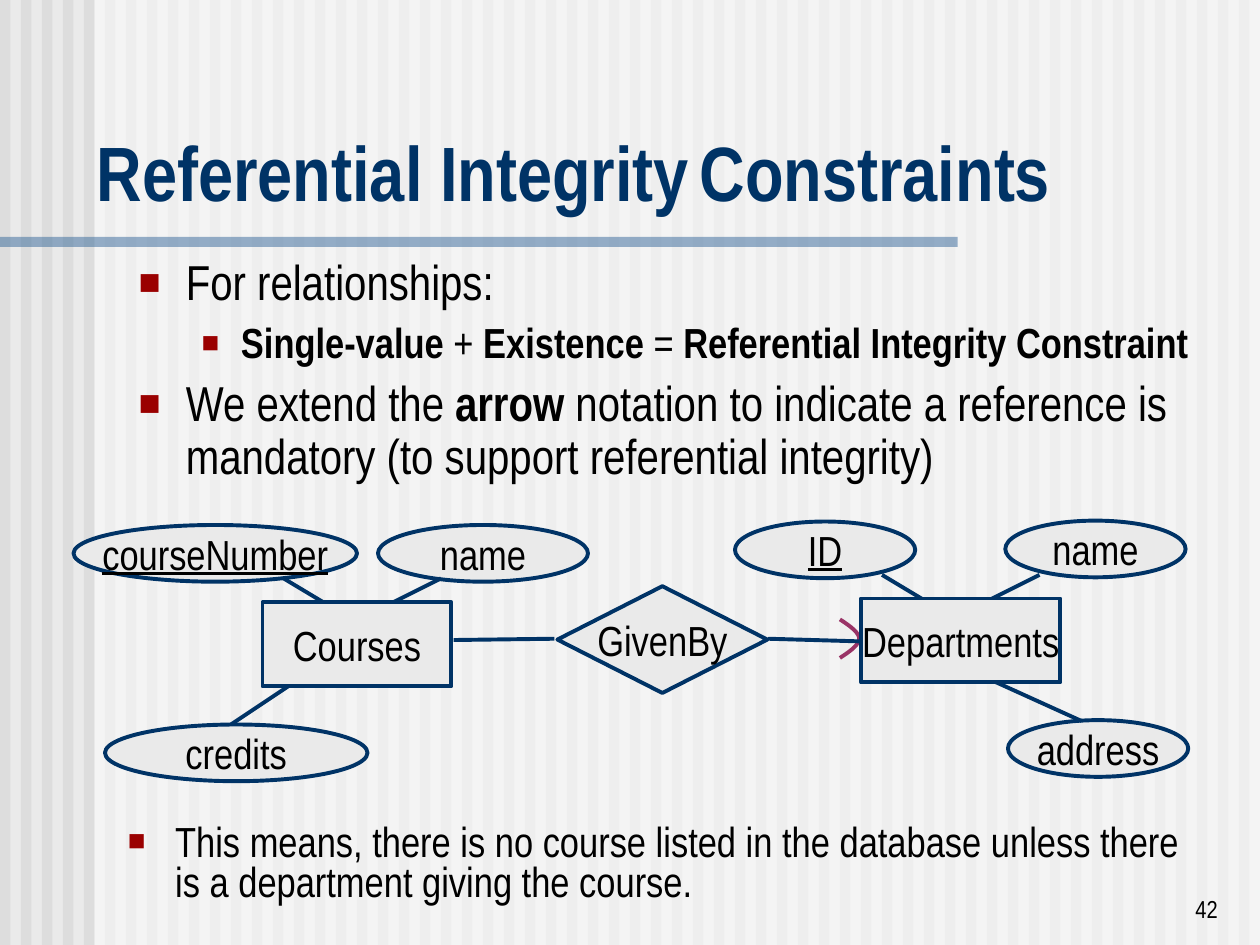
from typing import NamedTuple

from lxml.etree import SubElement
from pptx import Presentation
from pptx.dml.color import RGBColor
from pptx.enum.shapes import MSO_CONNECTOR as Connector, MSO_SHAPE as Shape
from pptx.enum.text import MSO_ANCHOR as Anchor, MSO_AUTO_SIZE as AutoSize, PP_ALIGN as Align
from pptx.oxml.ns import qn
from pptx.util import Pt

PAPER = RGBColor(0xEA, 0xEA, 0xEA)
STRIPE = RGBColor(0xDD, 0xDD, 0xDD)
WHITE = RGBColor(0xFF, 0xFF, 0xFF)
BLACK = RGBColor(0x00, 0x00, 0x00)
NAVY = RGBColor(0x00, 0x33, 0x66)
STEEL = RGBColor(0x33, 0x66, 0x99)
PLUM = RGBColor(0x99, 0x33, 0x66)
BULLET_RED = RGBColor(0x9A, 0x00, 0x00)
FONT = "Arial Narrow"
OUTLINE = Pt(2.25)


class Node(NamedTuple):
    """A labelled part of the entity-relationship diagram, in points."""
    label: str
    left: float
    top: float
    width: float
    height: float = 32.4
    outline: Shape = Shape.OVAL
    is_key: bool = False


class Link(NamedTuple):
    x1: float
    y1: float
    x2: float
    y2: float


class Bullet(NamedTuple):
    """A bulleted paragraph; its runs are (text, bold) pairs."""
    runs: list[tuple[str, bool]]
    size: int
    mark_percent: int
    level: int = 0
    margin: float = 27
    hang: float = 27
    spacing: float = 0.9
    before: float = 0


ATTRIBUTES = [
    Node("courseNumber", 42, 300, 162, is_key=True),
    Node("name", 216, 300, 120),
    Node("credits", 60, 414, 150),
    Node("ID", 420, 298, 103, is_key=True),
    Node("name", 574.5, 297.5, 103),
    Node("address", 576, 411.5, 103),
]
LINKS = [
    Link(316.8, 365, 259.2, 365.75),
    Link(439, 365, 491, 366.5),
    Link(162, 330.5, 192, 348.5),
    Link(252, 330.5, 216, 348.5),
    Link(168, 390, 132, 414),
    Link(504, 328.5, 534, 346.5),
    Link(594, 328.5, 558, 346.5),
    Link(564, 387.5, 618, 412),
]
ENTITIES = [
    Node("Courses", 150, 344.25, 108, 48, Shape.RECTANGLE),
    Node("GivenBy", 318.5, 335, 120, 61, Shape.DIAMOND),
    Node("Departments", 492, 342, 114, 48, Shape.RECTANGLE),
]
RULES = [
    Bullet([("For relationships:", False)], 28, 75),
    Bullet([("Single-value ", True), ("+", False), (" Existence ", True), ("=", False),
            (" Referential Integrity Constraint", True)],
           24, 70, level=1, margin=58.5, hang=22.5, before=6),
    Bullet([("We extend the ", False), ("arrow", True),
            (" notation to indicate a reference is mandatory "
             "(to support referential integrity)", False)], 28, 75, before=7),
]
MEANING = Bullet([("This means, there is no course listed in the database unless there "
                   "is a department giving the course.", False)], 24, 70, spacing=0.8)


def place(shape, left: float, top: float, width: float, height: float) -> None:
    shape.left, shape.top, shape.width, shape.height = map(Pt, (left, top, width, height))


def add_run(paragraph, text: str, size: float, color: RGBColor = BLACK,
            bold: bool = False, underline: bool = False) -> None:
    run = paragraph.add_run()
    run.text = text
    font = run.font
    font.name, font.size, font.bold = FONT, Pt(size), bold
    font.color.rgb = color
    if underline:
        font.underline = True


def add_band(shapes, left: float, top: float, width: float, height: float,
             color: RGBColor, opacity: int = 100) -> None:
    """Draw a borderless rectangle, see-through below 100 percent opacity."""
    band = shapes.add_shape(Shape.RECTANGLE, Pt(left), Pt(top), Pt(width), Pt(height))
    band.shadow.inherit = False
    band.fill.solid()
    band.fill.fore_color.rgb = color
    band.line.fill.background()
    if opacity < 100:
        solid = band.element.spPr.find(qn("a:solidFill"))
        SubElement(solid[0], qn("a:alpha"), val=str(opacity * 1000))


def add_node(shapes, node: Node) -> None:
    shape = shapes.add_shape(node.outline, Pt(node.left), Pt(node.top),
                             Pt(node.width), Pt(node.height))
    shape.shadow.inherit = False
    shape.fill.solid()
    shape.fill.fore_color.rgb = PAPER
    shape.line.color.rgb = NAVY
    shape.line.width = OUTLINE
    frame = shape.text_frame
    frame.word_wrap = False
    frame.vertical_anchor = Anchor.MIDDLE
    label = frame.paragraphs[0]
    label.alignment = Align.CENTER
    add_run(label, node.label, 24, underline=node.is_key)


def add_link(shapes, link: Link) -> None:
    line = shapes.add_connector(Connector.STRAIGHT, *map(Pt, link))
    line.line.color.rgb = NAVY
    line.line.width = OUTLINE
    SubElement(line.element.spPr, qn("a:effectLst"))


def add_mandatory_mark(shapes) -> None:
    """Draw the rounded arrowhead that opens to the left of Departments."""
    controls = [(480, 354), (485.5, 357.5), (491, 361.5), (491, 365)]
    steps = 12
    upper = []
    for step in range(steps + 1):
        t = step / steps
        weights = ((1 - t) ** 3, 3 * t * (1 - t) ** 2, 3 * t ** 2 * (1 - t), t ** 3)
        upper.append(tuple(sum(w * point[axis] for w, point in zip(weights, controls))
                           for axis in (0, 1)))
    axis_y = controls[-1][1]
    lower = [(x, 2 * axis_y - y) for x, y in reversed(upper[:-1])]
    points = [(Pt(x), Pt(y)) for x, y in upper + lower]
    builder = shapes.build_freeform(*points[0])
    builder.add_line_segments(points[1:], close=False)
    mark = builder.convert_to_shape()
    mark.shadow.inherit = False
    mark.fill.background()
    mark.line.color.rgb = PLUM
    mark.line.width = OUTLINE


def write_bullets(frame, bullets: list[Bullet]) -> None:
    frame.word_wrap = True
    frame.auto_size = AutoSize.NONE
    for index, bullet in enumerate(bullets):
        paragraph = frame.add_paragraph() if index else frame.paragraphs[0]
        props = paragraph._p.get_or_add_pPr()
        props.set("marL", str(Pt(bullet.margin)))
        props.set("indent", str(-Pt(bullet.hang)))
        SubElement(SubElement(props, qn("a:buClr")), qn("a:srgbClr"), val=str(BULLET_RED))
        SubElement(props, qn("a:buSzPct"), val=str(bullet.mark_percent * 1000))
        SubElement(props, qn("a:buFont"), typeface="Arial")
        SubElement(props, qn("a:buChar"), char="■")
        paragraph.level = bullet.level
        paragraph.line_spacing = bullet.spacing
        paragraph.space_before = Pt(bullet.before)
        for text, bold in bullet.runs:
            add_run(paragraph, text, bullet.size, bold=bold)


def main() -> None:
    deck = Presentation()
    deck.slide_width, deck.slide_height = Pt(720), Pt(540)
    slide = deck.slides.add_slide(deck.slide_layouts[1])
    shapes = slide.shapes
    slide.background.fill.solid()
    slide.background.fill.fore_color.rgb = PAPER

    for stripe in range(60):
        add_band(shapes, stripe * 12, 0, 6, 540, STRIPE)
    add_band(shapes, 54, 0, 666, 540, WHITE, opacity=50)
    add_band(shapes, 0, 135.3, 547.2, 5.8, STEEL, opacity=50)

    title, body = shapes.title, slide.placeholders[1]
    for holder in (title, body):  # bring the text in front of the stripes
        holder.element.getparent().append(holder.element)
    place(title, 48, 67.5, 672, 60)
    title.text_frame.auto_size = AutoSize.NONE
    title.text_frame.vertical_anchor = Anchor.BOTTOM
    heading = title.text_frame.paragraphs[0]
    heading.alignment = Align.LEFT
    for text, size in (("Referential Integrity", 44), (" ", 24), ("Constraints", 44)):
        add_run(heading, text, size, NAVY, bold=True)
    place(body, 72, 144, 638.5, 144)
    write_bullets(body.text_frame, RULES)

    add_mandatory_mark(shapes)
    for attribute in ATTRIBUTES:
        add_node(shapes, attribute)
    for link in LINKS:
        add_link(shapes, link)
    for entity in ENTITIES:
        add_node(shapes, entity)

    meaning = shapes.add_textbox(Pt(66), Pt(468), Pt(633), Pt(72))
    write_bullets(meaning.text_frame, [MEANING])
    page = shapes.add_textbox(Pt(553), Pt(495.5), Pt(150), Pt(36)).text_frame
    page.word_wrap = True
    page.vertical_anchor = Anchor.BOTTOM
    page.paragraphs[0].alignment = Align.RIGHT
    add_run(page.paragraphs[0], "42", 14)
    deck.save("out.pptx")


if __name__ == "__main__":
    main()
